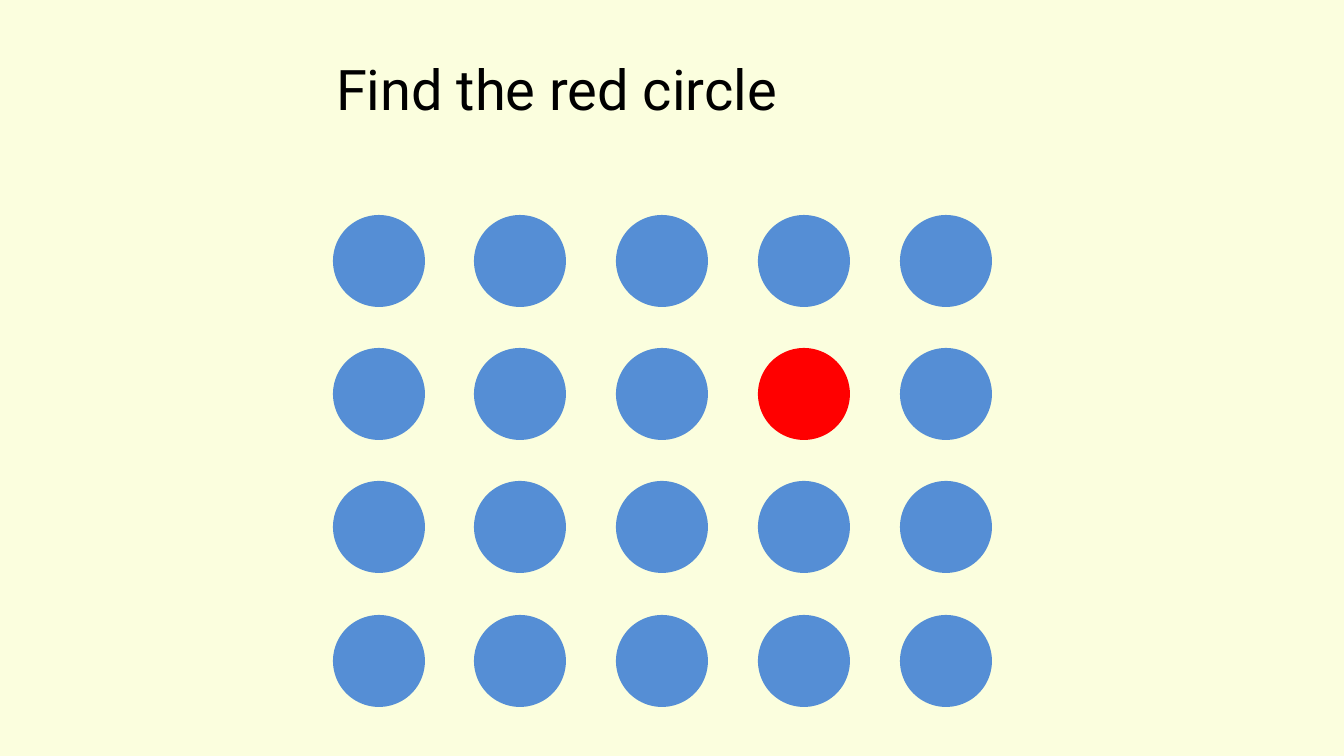
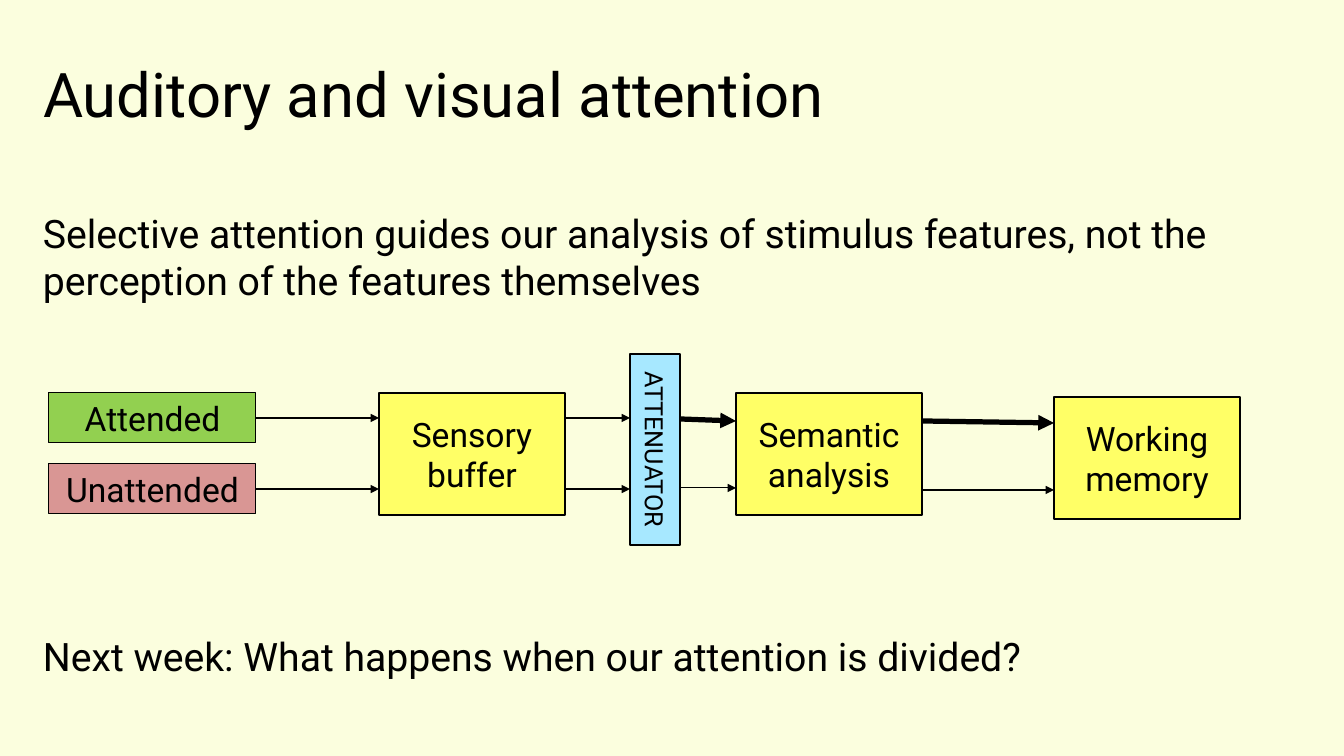
"""Build two slides on visual search and selective attention."""
from dataclasses import dataclass
from itertools import product

from lxml import etree
from pptx import Presentation
from pptx.dml.color import RGBColor
from pptx.enum.shapes import MSO_CONNECTOR, MSO_SHAPE
from pptx.enum.text import MSO_ANCHOR, MSO_AUTO_SIZE, PP_ALIGN
from pptx.oxml.ns import qn
from pptx.util import Emu, Pt


@dataclass(frozen=True)
class Theme:
    font: str = "Roboto"
    ink: RGBColor = RGBColor(0, 0, 0)
    paper: RGBColor = RGBColor.from_string("FBFEDE")
    blue: RGBColor = RGBColor.from_string("558ED5")
    red: RGBColor = RGBColor.from_string("FF0000")
    green: RGBColor = RGBColor.from_string("92D050")
    pink: RGBColor = RGBColor.from_string("D99694")
    yellow: RGBColor = RGBColor.from_string("FFFF66")
    cyan: RGBColor = RGBColor.from_string("A7E8FF")
    small_title: int = 40
    title: int = 44
    body: int = 28
    label: int = 24
    small_label: int = 18


T = Theme()


def px(*lengths):
    return [Emu(round(n * 12192000 / 1344)) for n in lengths]


def write(sp, text, size, align=PP_ALIGN.LEFT, anchor=MSO_ANCHOR.TOP):
    tf = sp.text_frame
    tf.text = text
    tf.word_wrap = True
    tf.auto_size = MSO_AUTO_SIZE.NONE
    tf.vertical_anchor = anchor
    p = tf.paragraphs[0]
    p.alignment = align
    p.font.name = T.font
    p.font.size = Pt(size)
    p.font.color.rgb = T.ink


prs = Presentation()
prs.slide_width, prs.slide_height = px(1344, 756)
fill = prs.slide_master.background.fill
fill.solid()
fill.fore_color.rgb = T.paper

titles = [
    ("Find the red circle", T.small_title, MSO_ANCHOR.TOP, (326, 49, 672, 78)),
    ("Auditory and visual attention", T.title, MSO_ANCHOR.MIDDLE, (33, 20, 1159, 146)),
]
for text, size, anchor, frame in titles:
    s = prs.slides.add_slide(prs.slide_layouts[5])
    title = s.shapes.title
    title.left, title.top, title.width, title.height = px(*frame)
    write(title, text, size, anchor=anchor)

search, attention = prs.slides

target = (1, 3)
for row, col in product(range(4), range(5)):
    left, top = 333 + 567 * col // 4, 215 + 400 * row // 3
    sp = search.shapes.add_shape(MSO_SHAPE.OVAL, *px(left, top, 92, 92))
    sp.shadow.inherit = False
    sp.fill.solid()
    sp.fill.fore_color.rgb = T.red if (row, col) == target else T.blue
    sp.line.fill.background()

paragraphs = [
    ("Selective attention guides our analysis of stimulus features, "
     "not the perception of the features themselves", 204, 105),
    ("Next week: What happens when our attention is divided?", 627, 57),
]
for text, top, height in paragraphs:
    write(attention.shapes.add_textbox(*px(33, top, 1250, height)), text, T.body)

boxes = [
    ("Attended", T.green, 0.75, T.label, (49, 393, 207, 50)),
    ("Unattended", T.pink, 0.75, T.label, (49, 464, 207, 50)),
    ("Sensory buffer", T.yellow, 1, T.label, (379, 393, 186, 122)),
    ("Semantic analysis", T.yellow, 1, T.label, (736, 393, 186, 122)),
    ("Working memory", T.yellow, 1, T.label, (1054, 397, 186, 122)),
    ("ATTENUATOR", T.cyan, 1, T.small_label, (630, 354, 50, 191)),
]
stages = {}
for text, color, weight, size, frame in boxes:
    sp = attention.shapes.add_shape(MSO_SHAPE.RECTANGLE, *px(*frame))
    sp.shadow.inherit = False
    sp.fill.solid()
    sp.fill.fore_color.rgb = color
    sp.line.color.rgb = T.ink
    sp.line.width = Pt(weight)
    write(sp, text, size, PP_ALIGN.CENTER, MSO_ANCHOR.MIDDLE)
    stages[text] = sp
stages["ATTENUATOR"].text_frame._txBody.bodyPr.set("vert", "vert")

arrows = [
    ("Attended", 2, (256, 418, 379, 418)),
    ("Unattended", 2, (256, 489, 379, 489)),
    (None, 2, (565, 418, 630, 418)),
    (None, 2, (565, 489, 630, 489)),
    (None, 3.75, (681, 419, 736, 421)),
    (None, 0.75, (680, 488, 736, 488)),
    (None, 3.75, (923, 421, 1054, 423)),
    (None, 0.75, (922, 490, 1054, 490)),
]
for source, weight, ends in arrows:
    arrow = attention.shapes.add_connector(MSO_CONNECTOR.STRAIGHT, *px(*ends))
    if source:
        arrow.begin_connect(stages[source], 3)
    arrow.line.color.rgb = T.ink
    arrow.line.width = Pt(weight)
    etree.SubElement(arrow.line._get_or_add_ln(), qn("a:tailEnd"), type="triangle")
    etree.SubElement(arrow._element.spPr, qn("a:effectLst"))

prs.save("out.pptx")
